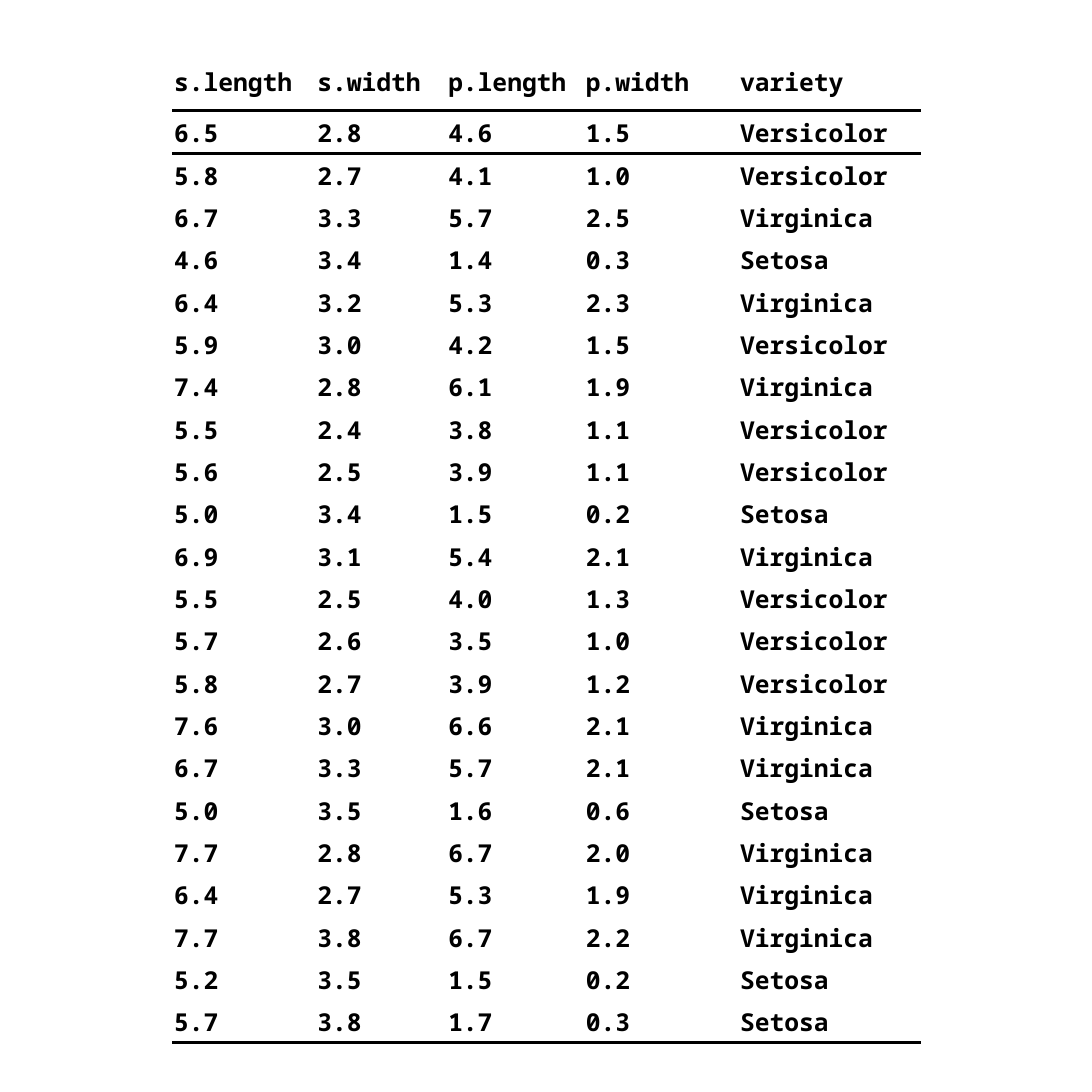
from lxml import etree
from pptx import Presentation
from pptx.dml.color import RGBColor
from pptx.enum.text import MSO_ANCHOR
from pptx.oxml.ns import qn
from pptx.util import Inches, Pt

MIDDLE = MSO_ANCHOR.MIDDLE
FONT = "Noto Sans Mono"
BLACK, WHITE = "000000", "FFFFFF"

HEADERS = ["s.length", "s.width", "p.length", "p.width", "variety"]
FLOWERS = """
6.5 2.8 4.6 1.5 Versicolor
5.8 2.7 4.1 1.0 Versicolor
6.7 3.3 5.7 2.5 Virginica
4.6 3.4 1.4 0.3 Setosa
6.4 3.2 5.3 2.3 Virginica
5.9 3.0 4.2 1.5 Versicolor
7.4 2.8 6.1 1.9 Virginica
5.5 2.4 3.8 1.1 Versicolor
5.6 2.5 3.9 1.1 Versicolor
5.0 3.4 1.5 0.2 Setosa
6.9 3.1 5.4 2.1 Virginica
5.5 2.5 4.0 1.3 Versicolor
5.7 2.6 3.5 1.0 Versicolor
5.8 2.7 3.9 1.2 Versicolor
7.6 3.0 6.6 2.1 Virginica
6.7 3.3 5.7 2.1 Virginica
5.0 3.5 1.6 0.6 Setosa
7.7 2.8 6.7 2.0 Virginica
6.4 2.7 5.3 1.9 Virginica
7.7 3.8 6.7 2.2 Virginica
5.2 3.5 1.5 0.2 Setosa
5.7 3.8 1.7 0.3 Setosa
"""
COLUMN_WIDTHS = [1.29, 1.18, 1.24, 1.39, 1.65]
HEADER_HEIGHT = 0.55


def color(value):
    return RGBColor.from_string(value)


def add_border(cell, side, width):
    """Draw one cell edge; a width of None hides it."""
    properties = cell._tc.get_or_add_tcPr()
    line = etree.SubElement(properties, qn(f"a:ln{side}"))
    if width is None:
        etree.SubElement(line, qn("a:noFill"))
        return
    line.set("w", str(Pt(width)))
    fill = etree.SubElement(line, qn("a:solidFill"))
    etree.SubElement(fill, qn("a:srgbClr"), val=BLACK)


def format_cell(cell, text, top_rule, bottom_rule):
    # Borders come before the fill in the cell properties
    for side, width in zip("LRTB", (None, None, top_rule, bottom_rule)):
        add_border(cell, side, width)
    cell.fill.solid()
    cell.fill.fore_color.rgb = color(WHITE)

    cell.vertical_anchor = MIDDLE
    cell.margin_left = cell.margin_right = cell.margin_top = Inches(0.02)
    cell.margin_bottom = 0

    cell.text = text
    font = cell.text_frame.paragraphs[0].font
    font.name, font.size, font.bold = FONT, Pt(16), True
    font.color.rgb = color(BLACK)


def add_flower_table(page, box):
    left, top, width, height = box
    rows = [HEADERS] + [line.split() for line in FLOWERS.strip().splitlines()]
    frame = page.shapes.add_table(
        len(rows), len(HEADERS),
        Inches(left), Inches(top), Inches(width), Inches(height))
    table = frame.table
    table.first_row = table.horz_banding = False

    # Columns keep their proportions; data rows share the remaining height
    scale = width / sum(COLUMN_WIDTHS)
    for column, column_width in zip(table.columns, COLUMN_WIDTHS):
        column.width = Inches(column_width * scale)
    row_height = (height - HEADER_HEIGHT) / (len(rows) - 1)
    for index, row in enumerate(table.rows):
        row.height = Inches(row_height if index else HEADER_HEIGHT)

    # Horizontal rules, keyed by the row they lie above
    rules = {1: 2.25, 2: 2.25, len(rows): 2}
    for r, values in enumerate(rows):
        for c, text in enumerate(values):
            format_cell(table.cell(r, c), text, rules.get(r), rules.get(r + 1))


deck = Presentation()
deck.slide_width = deck.slide_height = Inches(9.84)
page = deck.slides.add_slide(deck.slide_layouts[6])
add_flower_table(page, (1.55, 0.45, 6.75, 8.95))
deck.save("out.pptx")
